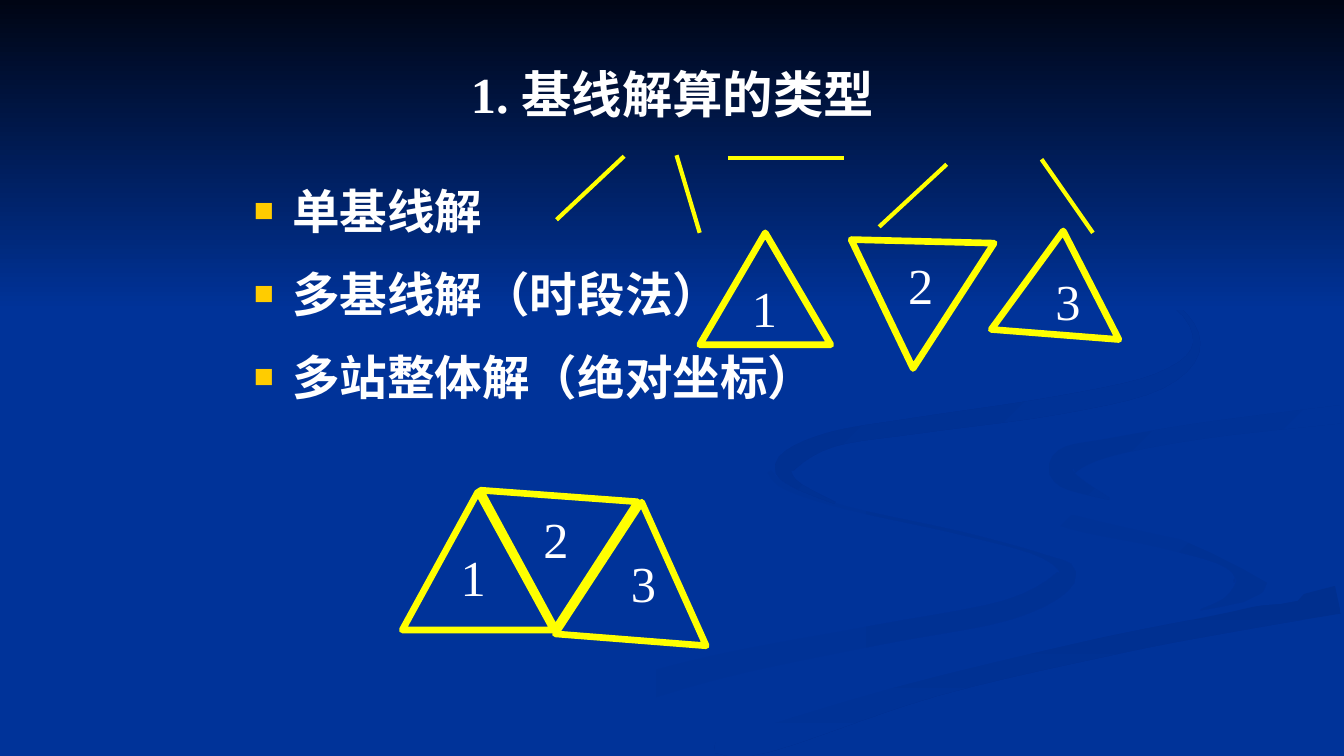
from math import hypot

from lxml.etree import SubElement
from pptx import Presentation
from pptx.dml.color import RGBColor as RGB
from pptx.enum.shapes import MSO_CONNECTOR as LINK, MSO_SHAPE as FORM
from pptx.enum.text import MSO_ANCHOR as ANCHOR, PP_ALIGN as ALIGN
from pptx.oxml.ns import qn
from pptx.util import Inches, Pt

BLUE = RGB(0x00, 0x33, 0x99)
NIGHT = RGB(0x00, 0x05, 0x14)
SHADE = RGB(0x00, 0x2F, 0x8E)
DIM = RGB(0x00, 0x31, 0x93)
WHITE = RGB(0xFF, 0xFF, 0xFF)
YELLOW = RGB(0xFF, 0xFF, 0x00)
GOLD = "FFCC00"
FACE = "Times New Roman"
STEPS = 5
TILT = 4.5
FLIP = 302.9


def style(obj, look):
    """Set each attribute named in look on obj."""
    for key, val in look.items():
        setattr(obj, key, val)


def write(para, text, size, bold):
    """Add one white run to a paragraph."""
    run = para.add_run()
    run.text = text
    style(run.font, {"name": FACE, "size": Pt(size), "bold": bold})
    run.font.color.rgb = WHITE


def frame(shapes, box):
    """Add a wrapping text box and return its text frame."""
    text = shapes.add_textbox(*map(Inches, box)).text_frame
    text.word_wrap = True
    return text


def paint(shape, start, end, turn):
    """Fill a shape without outline from start to end colour, clockwise by turn."""
    shape.shadow.inherit = False
    shape.line.fill.background()
    if start == end:
        shape.fill.solid()
        shape.fill.fore_color.rgb = start
        return
    shape.fill.gradient()
    shape.fill.gradient_angle = -turn % 360
    for stop, tint in zip(shape.fill.gradient_stops, (start, end)):
        stop.color.rgb = tint


def smooth(knots):
    """Return a Catmull-Rom curve through knots of x, y and width."""
    ends = [knots[0], *knots, knots[-1]]
    curve = []
    for quad in zip(ends, ends[1:], ends[2:], ends[3:]):
        for step in range(STEPS):
            t = step / STEPS
            curve.append([
                b + t * (c - a + t * (2 * a - 5 * b + 4 * c - d + t * (3 * (b - c) + d - a))) / 2
                for a, b, c, d in zip(*quad)])
    return curve + [knots[-1]]


def ribbon(slide, box, knots):
    """Draw a band along smoothed knots, with half its width on each side."""
    spine = smooth(knots)
    near, far = [], []
    for prev, (x, y, wide), succ in zip(spine[:1] + spine, spine, spine[1:] + spine[-1:]):
        run, rise = succ[0] - prev[0], succ[1] - prev[1]
        half = wide / 2 / hypot(run, rise)
        x, y = box[0] + x, box[1] + y
        near.append((Inches(x - rise * half), Inches(y + run * half)))
        far.append((Inches(x + rise * half), Inches(y - run * half)))
    edge = near + far[::-1]
    pen = slide.shapes.build_freeform(*edge[0])
    pen.add_line_segments(edge[1:], close=True)
    return pen.convert_to_shape()


def scene(slide, box):
    """Draw the winding bands and the night sky in the box."""
    slide.background.fill.solid()
    slide.background.fill.fore_color.rgb = BLUE
    stream = [(4.45, 7.3, 0.3), (5.56, 7.05, 0.3), (7.1, 6.62, 0.24), (8.7, 6.3, 0.2),
              (10, 6.05, 0.2), (10.57, 5.73, 0.2), (10.35, 5.52, 0.04), (9.53, 5.29, 0.03),
              (8.4, 5.04, 0.03), (7.8, 4.83, 0.06), (7.63, 4.68, 0.04)]
    bend = [(9.65, 4.66, 0.02), (9.85, 4.9, 0.06), (10.6, 5.17, 0.14), (11.5, 5.37, 0.12),
            (12.2, 5.55, 0.18), (12.4, 5.77, 0.33), (12.2, 5.95, 0.1), (11.91, 6.05, 0.01)]
    bank = [(7.1, 7.34, 0.26), (7.6, 7.33, 0.27), (9.26, 6.8, 0.22), (11.09, 6.39, 0.19),
            (12.27, 6.16, 0.2), (13.27, 5.95, 0.28)]
    river = [(6.7, 7.38, 0.2), (8.84, 6.75, 0.15), (11.2, 6.22, 0.08), (12.35, 6, 0.06),
             (12.8, 5.7, 0.4), (11.4, 5.15, 0.15), (10.05, 4.64, 0.7), (11.2, 4.22, 0.14),
             (13.3, 3.95, 0.15)]
    brook = [(11, 4.95, 0.02), (10.58, 4.75, 0.2), (10.58, 4.58, 0.28), (11, 4.44, 0.18),
             (11.95, 4.27, 0.16), (13.3, 4.11, 0.18)]
    swirl = [(8.28, 4.99, 0.02), (7.87, 4.79, 0.08), (7.8, 4.6, 0.2), (8.25, 4.36, 0.15),
             (9.11, 4.22, 0.16), (10.5, 4.02, 0.18), (11.5, 3.78, 0.16), (11.87, 3.4, 0.07),
             (11.5, 2.92, 0.03), (10.17, 2.33, 0.01)]
    for knots, start, end, turn in [
            (stream, BLUE, DIM, 0), (bend, BLUE, DIM, 45), (bank, SHADE, BLUE, 90),
            (river, BLUE, BLUE, 0), (brook, DIM, BLUE, 45), (swirl, SHADE, BLUE, 45)]:
        paint(ribbon(slide, box, knots), start, end, turn)
    left, top, wide, _ = box
    sky = slide.shapes.add_shape(FORM.RECTANGLE, *map(Inches, (left, top, wide, 3.08)))
    paint(sky, NIGHT, BLUE, 90)


def title(slide, box, text):
    """Place the centred title in the box."""
    body = frame(slide.shapes, box)
    body.vertical_anchor = ANCHOR.MIDDLE
    body.paragraphs[0].alignment = ALIGN.CENTER
    write(body.paragraphs[0], text, 36, True)


def points(slide, box, items):
    """Place the bulleted list in the box."""
    body = frame(slide.shapes, box)
    for num, item in enumerate(items):
        para = body.add_paragraph() if num else body.paragraphs[0]
        style(para, {"line_spacing": Pt(41), "space_before": Pt(6.5), "space_after": Pt(12)})
        write(para, item, 34, True)
        prop = para._p.get_or_add_pPr()
        prop.set("marL", str(Inches(0.38)))
        prop.set("indent", str(-Inches(0.38)))
        SubElement(SubElement(prop, qn("a:buClr")), qn("a:srgbClr"), val=GOLD)
        SubElement(prop, qn("a:buSzPct"), val="70000")
        SubElement(prop, qn("a:buFont"), typeface=FACE)
        SubElement(prop, qn("a:buChar"), char="■")


def lines(slide, box, ends):
    """Draw the separate baselines, measured from the corner of the box."""
    left, top = box[:2]
    for x1, y1, x2, y2 in ends:
        spot = map(Inches, (left + x1, top + y1, left + x2, top + y2))
        base = slide.shapes.add_connector(LINK.STRAIGHT, *spot)
        style(base.line, {"width": Pt(3)})
        base.line.color.rgb = YELLOW
        SubElement(base._element.spPr, qn("a:effectLst"))


def net(slide, box, parts):
    """Group numbered triangles, measured from the corner of the box."""
    left, top = box[:2]
    group = slide.shapes.add_group_shape().shapes
    for text, (x, y, wide, high), turn, (dx, dy) in parts:
        spot = map(Inches, (left + x, top + y, wide, high))
        tri = group.add_shape(FORM.ISOSCELES_TRIANGLE, *spot)
        tri.rotation = turn
        tri.shadow.inherit = False
        tri.fill.background()
        style(tri.line, {"width": Pt(4.75)})
        tri.line.color.rgb = YELLOW
        label = frame(group, (left + x + dx, top + y + dy, 0.5, 0.71))
        write(label.paragraphs[0], text, 36, False)


def main():
    """Build the slide and save it."""
    deck = Presentation()
    style(deck, {"slide_width": Inches(13.33), "slide_height": Inches(7.5)})
    slide = deck.slides.add_slide(deck.slide_layouts[6])
    scene(slide, (0, 0, 13.33, 7.5))
    title(slide, (0.67, 0.3, 12, 1.25), "1. 基线解算的类型")
    points(slide, (2.42, 1.75, 8.5, 2.53),
           ["单基线解", "多基线解（时段法）", "多站整体解（绝对坐标）"])
    size = (1.5, 1.37)
    net(slide, (3.99, 4.55, 3.07, 1.8), [
        ("3", (1.57, 0.43, *size), TILT, (0.6, 0.45)),
        ("1", (0, 0.33, *size), 0, (0.48, 0.49)),
        ("2", (0.6, 0, *size), FLIP, (0.7, 0.44))])
    lines(slide, (5.52, 1.54, 5.32, 0.77), [
        (0, 0.64, 0.67, 0.01), (1.42, 0.77, 1.19, 0), (1.7, 0.03, 2.85, 0.03),
        (3.2, 0.71, 3.87, 0.09), (5.32, 0.77, 4.81, 0.04)])
    for text, box, turn, shift in [
            ("1", (6.94, 2.31, 1.3, 1.11), 0, (0.42, 0.39)),
            ("2", (8.21, 2.1, 1.48, 1.21), FLIP, (0.7, 0.37)),
            ("3", (9.87, 2.29, 1.27, 1.03), TILT, (0.5, 0.34))]:
        net(slide, box, [(text, (0, 0, *box[2:]), turn, shift)])
    deck.save("out.pptx")


if __name__ == "__main__":
    main()
